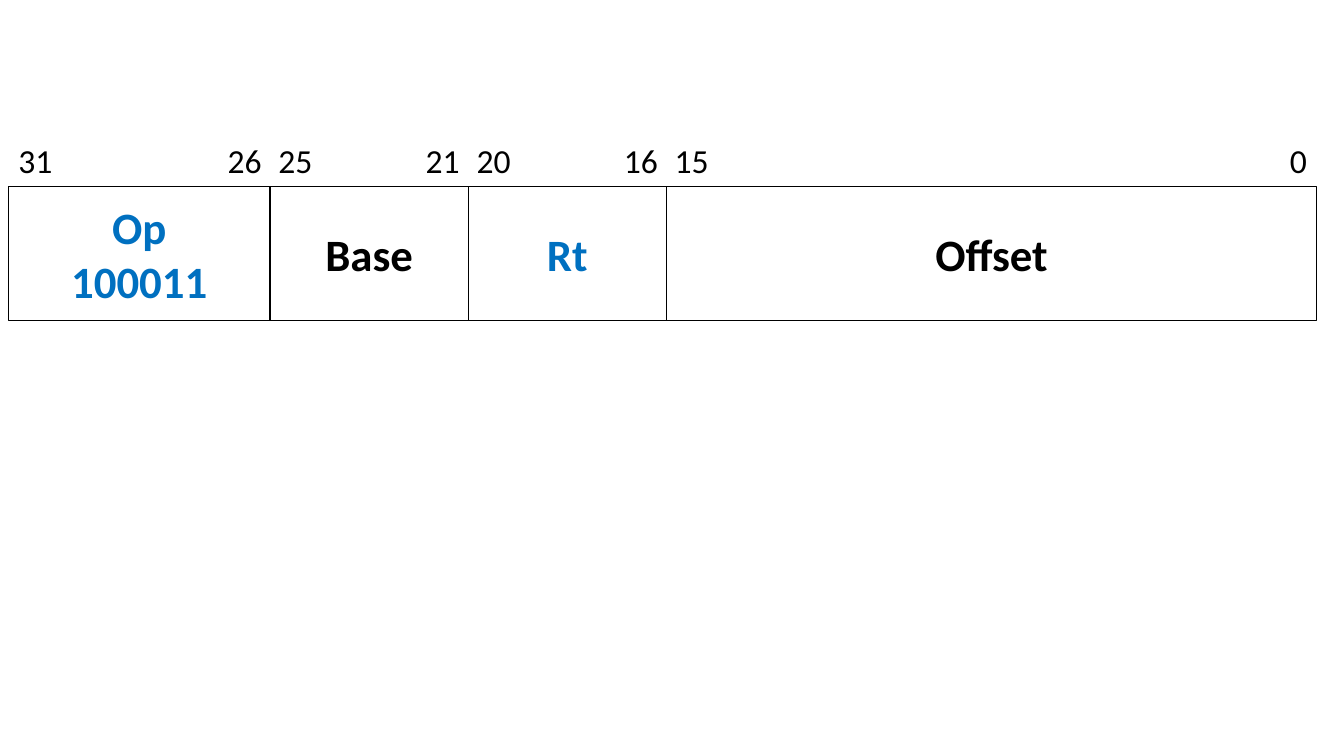
"""Build a slide with the bit layout of a load instruction."""
from dataclasses import dataclass
from itertools import accumulate

from pptx import Presentation
from pptx.dml.color import RGBColor as RGB
from pptx.enum.shapes import MSO_SHAPE as Shape
from pptx.enum.text import MSO_ANCHOR as Anchor, PP_ALIGN as Align
from pptx.oxml.ns import qn
from pptx.util import Pt
from lxml.etree import SubElement


@dataclass(frozen=True)
class Theme:
    font: str = "Calibri"
    ink: RGB = RGB(0x00, 0x00, 0x00)
    accent: RGB = RGB(0x00, 0x70, 0xC0)
    field_size: int = 32
    bit_size: int = 24
    border: int = 1


THEME = Theme()

FIELDS = [
    ("Op\n100011", 31, 26, 187, THEME.accent),
    ("Base", 25, 21, 141.5, THEME.ink),
    ("Rt", 20, 16, 141.5, THEME.accent),
    ("Offset", 15, 0, 464.5, THEME.ink),
]

LEFT, TOP, HEIGHT = 6, 133, 96
BITS_TOP, BITS_HEIGHT = 96.5, 36
INSET, BIT_GAP = 7.2, 6


def write(frame, text, size, color=THEME.ink, bold=False, align=Align.LEFT,
          anchor=Anchor.TOP, wrap=True, tabs=()):
    """Fill a text frame with formatted lines."""
    frame.word_wrap = wrap
    frame.vertical_anchor = anchor
    for number, line in enumerate(text.split("\n")):
        paragraph = frame.add_paragraph() if number else frame.paragraphs[0]
        paragraph.alignment = align
        if tabs:
            stops = SubElement(paragraph._p.get_or_add_pPr(), qn("a:tabLst"))
            for position, side in tabs:
                SubElement(stops, qn("a:tab"), pos=str(Pt(position)), algn=side)
        run = paragraph.add_run()
        run.text = line
        run.font.name = THEME.font
        run.font.size = Pt(size)
        run.font.bold = bold
        run.font.color.rgb = color


def add_field(slide, label, left, width, color):
    """Draw one field of the instruction word."""
    field = slide.shapes.add_shape(
        Shape.RECTANGLE, Pt(left), Pt(TOP), Pt(width), Pt(HEIGHT))
    field.shadow.inherit = False
    field.fill.background()
    field.line.color.rgb = THEME.ink
    field.line.width = Pt(THEME.border)
    write(field.text_frame, label, THEME.field_size, color, bold=True,
          align=Align.CENTER, anchor=Anchor.MIDDLE, wrap=False)


def add_bits(slide, edges):
    """Number the first and last bit of every field in one tabbed line."""
    origin = LEFT + INSET
    tabs = []
    for left, right in zip(edges, edges[1:]):
        tabs += [(left + BIT_GAP - origin, "l"), (right - BIT_GAP - origin, "r")]
    numbers = "\t".join(f"{high}\t{low}" for _, high, low, _, _ in FIELDS)
    bits = slide.shapes.add_textbox(
        Pt(LEFT), Pt(BITS_TOP), Pt(edges[-1] - LEFT), Pt(BITS_HEIGHT))
    write(bits.text_frame, numbers, THEME.bit_size, tabs=tabs[1:])


def main():
    """Compose and save the slide."""
    deck = Presentation()
    deck.slide_width, deck.slide_height = Pt(960), Pt(540)
    slide = deck.slides.add_slide(deck.slide_layouts[6])
    edges = list(accumulate((field[3] for field in FIELDS), initial=LEFT))
    for (label, _, _, width, color), left in zip(FIELDS, edges):
        add_field(slide, label, left, width, color)
    add_bits(slide, edges)
    deck.save("out.pptx")


if __name__ == "__main__":
    main()
